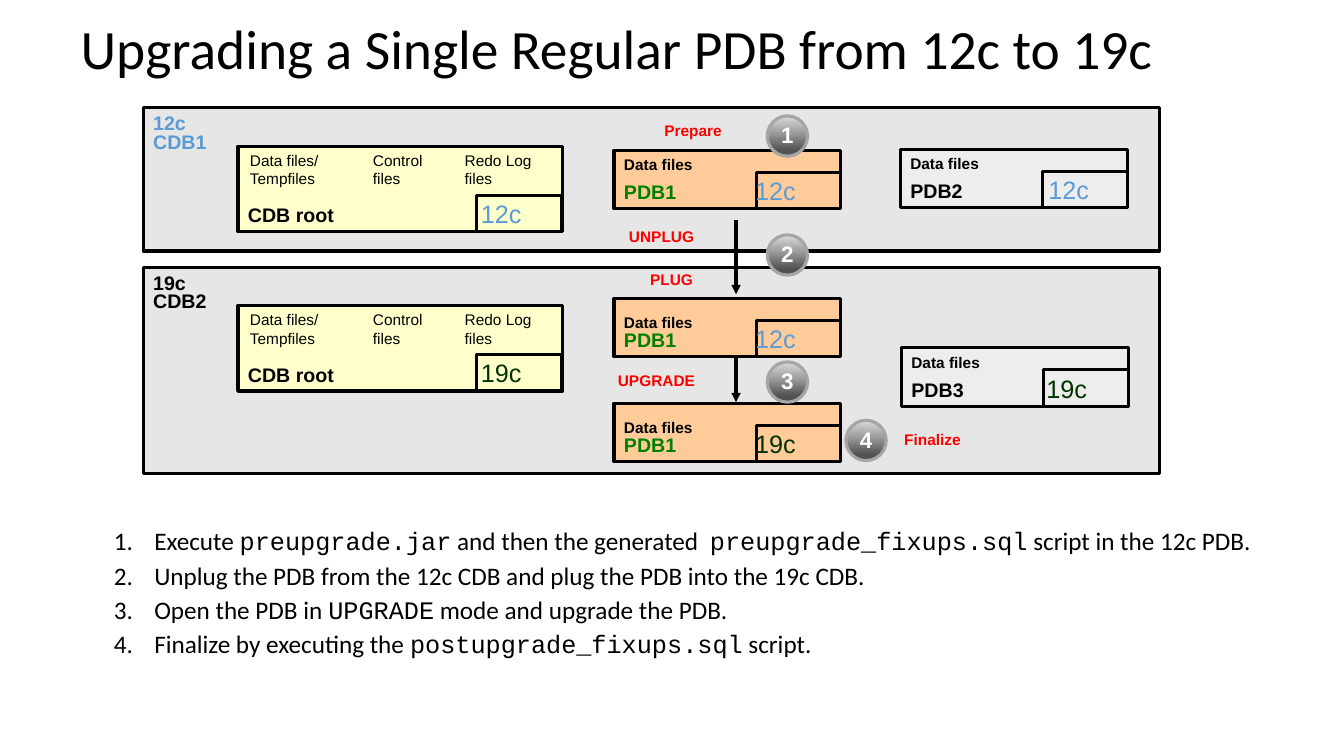
from lxml import etree
from pptx import Presentation
from pptx import util as u
from pptx.dml import color
from pptx.enum import shapes, text
from pptx.oxml import ns

BLACK, RED, GREEN, BLUE, DARK = "000000", "FF0000", "008000", "5B9BD5", "003300"
VERSION_COLORS = {"12c": BLUE, "19c": DARK}
MONO = "Courier New"


def rgb(value):
    """Turn a hex string into a colour."""
    return color.RGBColor.from_string(value)


def box_of(*lengths):
    """Turn numbers into inches."""
    return [u.Inches(n) for n in lengths]


def add_run(p, words, size, hue=BLACK, font="Arial", bold=False):
    """Add one formatted run to a paragraph."""
    r = p.add_run()
    r.text = words
    r.font.size, r.font.name, r.font.bold = u.Pt(size), font, bold
    r.font.color.rgb = rgb(hue)


def write(sp, lines, size, hue=BLACK, bold=False, spacing=1.0, anchor="TOP"):
    """Fill a shape with left-aligned lines, one paragraph each."""
    tf = sp.text_frame
    tf.word_wrap = True
    tf.vertical_anchor = getattr(text.MSO_ANCHOR, anchor)
    for i, line in enumerate(lines):
        p = tf.add_paragraph() if i else tf.paragraphs[0]
        p.alignment, p.line_spacing = text.PP_ALIGN.LEFT, spacing
        add_run(p, line, size, hue, bold=bold)


def add_label(s, x, y, w, h, lines, size=11, hue=BLACK, **style):
    """Add a free text box."""
    write(s.shapes.add_textbox(*box_of(x, y, w, h)), lines, size, hue, **style)


def add_box(s, x, y, w, h, fill=None, line=BLACK, kind="RECTANGLE"):
    """Add an outlined preset shape, unfilled when no colour is given."""
    sp = s.shapes.add_shape(getattr(shapes.MSO_SHAPE, kind), *box_of(x, y, w, h))
    sp.shadow.inherit = False
    if fill:
        sp.fill.solid()
        sp.fill.fore_color.rgb = rgb(fill)
    else:
        sp.fill.background()
    sp.line.color.rgb, sp.line.width = rgb(line), u.Pt(2.25)
    return sp


def add_version(s, x, y, version, shift):
    """Add a version tile, its text shifted sideways from the tile."""
    add_box(s, x, y, 0.84, 0.36)
    add_label(s, x + shift, y - 0.02, 1.05, 0.4, [version], 18, VERSION_COLORS[version])


def add_cdb(s, x, y, w, h, version, name, hue):
    """Add a container database with its root and file list."""
    add_box(s, x, y, w, h, "E7E6E6")
    add_label(s, x, y + 0.03, 1.15, 0.48, [version, name], 14, hue, bold=True, spacing=0.8)
    root_x, root_y = x + 0.94, y + 0.38
    root = add_box(s, root_x, root_y, 3.22, 0.85, "FFFFCC")
    write(root, ["CDB root"], 14, bold=True, spacing=0.85, anchor="BOTTOM")
    files = [(0.02, ["Data files/", "Tempfiles"]), (1.24, ["Control", "files"]),
             (2.15, ["Redo Log", "files"])]
    for dx, lines in files:
        add_label(s, root_x + dx, root_y, 1.25, 0.47, lines)
    add_version(s, root_x + 2.37, root_y + 0.49, version, -0.06)


def add_pdb(s, x, y, name, version, fill, hue=BLACK, files_dy=0, shift=-0.11):
    """Add a pluggable database with its version tile."""
    w, h = 2.25, 0.58
    write(add_box(s, x, y, w, h, fill), [name], 14, hue, bold=True, anchor="BOTTOM")
    add_label(s, x, y + files_dy, 1.91, 0.29, ["Data files"], bold=True)
    add_version(s, x + w - 0.84, y + h - 0.36, version, shift)


def add_arrow(s, x, top, bottom):
    """Add a downward arrow."""
    c = s.shapes.add_connector(shapes.MSO_CONNECTOR.STRAIGHT, *box_of(x, top, x, bottom))
    c.line.color.rgb, c.line.width = rgb(BLACK), u.Pt(2.25)
    etree.SubElement(c.line._get_or_add_ln(), ns.qn("a:tailEnd"), type="triangle")
    etree.SubElement(c._element.spPr, ns.qn("a:effectLst"))


def add_badge(s, x, y, number):
    """Add a numbered ball with a vertical grey gradient."""
    sp = add_box(s, x, y, 0.4, 0.4, line="A5A5A5", kind="OVAL")
    sp.fill.gradient()
    sp.fill.gradient_angle = 270
    stops = sp._element.spPr.find(ns.qn("a:gradFill")).find(ns.qn("a:gsLst"))
    for stop in list(stops):
        stops.remove(stop)
    for pos, hue in [(0, "DBDBDB"), (36, "A5A5A5"), (85, "525252")]:
        stop = etree.SubElement(stops, ns.qn("a:gs"), pos=str(pos * 1000))
        etree.SubElement(stop, ns.qn("a:srgbClr"), val=hue)
    tf = sp.text_frame
    tf.margin_left = tf.margin_right = u.Inches(0.05)
    write(sp, [str(number)], 16, "FFFFFF", bold=True, spacing=0.95, anchor="MIDDLE")
    tf.paragraphs[0].alignment = text.PP_ALIGN.CENTER
    tf.word_wrap = False


def place(holder, x, y, w, h):
    """Move a placeholder and stop it from resizing its text."""
    holder.left, holder.top, holder.width, holder.height = box_of(x, y, w, h)
    holder.text_frame.auto_size = text.MSO_AUTO_SIZE.NONE
    holder.text_frame.word_wrap = True
    return holder.text_frame


def add_title(s, x, y, w, h, words):
    """Fill the title placeholder."""
    tf = place(s.shapes.title, x, y, w, h)
    tf.vertical_anchor = text.MSO_ANCHOR.MIDDLE
    p = tf.paragraphs[0]
    p.alignment, p.line_spacing = text.PP_ALIGN.LEFT, 0.9
    add_run(p, words, 39.6, font="Calibri")


def add_steps(s, x, y, w, h, steps):
    """Fill the body placeholder with numbered steps of (words, font) runs."""
    tf = place(s.placeholders[1], x, y, w, h)
    tf.vertical_anchor = text.MSO_ANCHOR.TOP
    for i, step in enumerate(steps):
        p = tf.add_paragraph() if i else tf.paragraphs[0]
        p.line_spacing, p.space_before = 0.9, u.Pt(5)
        for words, font in step:
            add_run(p, words, 18, font=font)
        pPr = p._p.get_or_add_pPr()
        pPr.set("marL", str(u.Inches(0.75)))
        pPr.set("indent", str(u.Inches(-0.4)))
        etree.SubElement(pPr, ns.qn("a:buFont"), typeface="+mj-lt")
        etree.SubElement(pPr, ns.qn("a:buAutoNum"), type="arabicPeriod")


def add_diagram(s, x, y, w):
    """Add both container databases and the upgrade path between them."""
    add_cdb(s, x, y, w, 1.42, "12c", "CDB1", BLUE)
    add_cdb(s, x, y + 1.58, w, 2.05, "19c", "CDB2", BLACK)

    path_x = x + 4.67
    for dy, version, files_dy in [(0.42, "12c", 0), (1.89, "12c", 0.1), (2.93, "19c", 0.1)]:
        add_pdb(s, path_x, y + dy, "PDB1", version, "FFCC99", GREEN, files_dy)
    add_pdb(s, x + 7.51, y + 0.41, "PDB2", "12c", "EDEDED", shift=-0.04)
    add_pdb(s, x + 7.52, y + 2.38, "PDB3", "19c", "EDEDED", shift=-0.07)

    for top, bottom in [(1.11, 1.85), (2.46, 2.92)]:
        add_arrow(s, x + 5.88, y + top, y + bottom)
    actions = [("Prepare", 5.07, 0.08), ("UNPLUG", 4.72, 1.13), ("PLUG", 4.93, 1.56),
               ("UPGRADE", 4.61, 2.56), ("Finalize", 7.45, 3.15)]
    for action, dx, dy in actions:
        add_label(s, x + dx, y + dy, 1.4, 0.29, [action], hue=RED, bold=True)
    badges = [(6.19, 0.08), (6.19, 1.26), (6.19, 2.52), (6.97, 3.1)]
    for number, (dx, dy) in enumerate(badges, 1):
        add_badge(s, x + dx, y + dy, number)


prs = Presentation()
prs.slide_width, prs.slide_height = box_of(13.33, 7.5)
s = prs.slides.add_slide(prs.slide_layouts[1])
add_title(s, 0.7, 0.18, 11.42, 0.66, "Upgrading a Single Regular PDB from 12c to 19c")
add_steps(s, 0.68, 5.2, 11.97, 1.57, [
    [("Execute ", "Calibri"), ("preupgrade.jar", MONO),
     (" and then the generated  ", "Calibri"), ("preupgrade_fixups.sql", MONO),
     (" script in the 12c PDB.", "Calibri")],
    [("Unplug the PDB from the 12c CDB and plug the PDB into the 19c CDB.", "Calibri")],
    [("Open the PDB in ", "Calibri"), ("UPGRADE", MONO),
     (" mode and upgrade the PDB.", "Calibri")],
    [("Finalize by executing the ", "Calibri"), ("postupgrade_fixups.sql", MONO),
     (" script.", "Calibri")],
])
add_diagram(s, 1.42, 1.07, 10.08)
prs.save("out.pptx")
